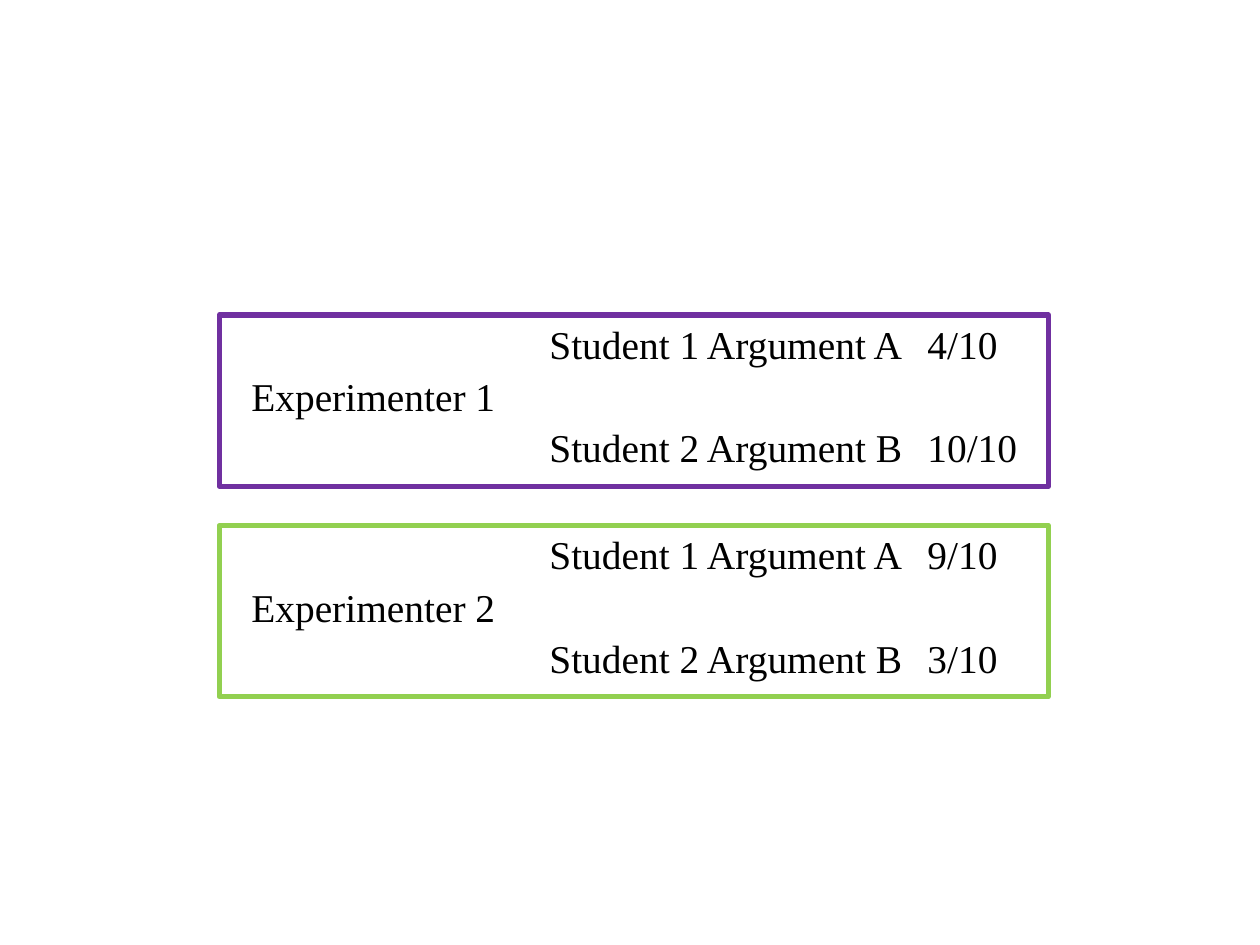
from pptx import Presentation
from pptx.dml.color import RGBColor
from pptx.enum import shapes, text
from pptx.util import Inches, Pt

FONT = "Times New Roman"
PANEL_LEFT, PANEL_WIDTH, PANEL_HEIGHT = Inches(1.74), Inches(6.58), Inches(1.36)
FIRST_TOP, PANEL_PITCH = Inches(2.5), Inches(1.67)
PANELS = [
    ("Experimenter 1", "7030A0", ("4/10", "10/10")),
    ("Experimenter 2", "92D050", ("9/10", "3/10")),
]


def color(hex_value):
    return RGBColor.from_string(hex_value)


def add_text(slide, left, top, width, height, lines, alignment, space_before=10):
    box = slide.shapes.add_textbox(left, top, width, height)
    frame = box.text_frame
    frame.word_wrap = True
    frame.margin_left = frame.margin_right = Inches(0.07)
    frame.margin_top = frame.margin_bottom = Inches(0.04)
    frame.text = "\n".join(lines)
    for index, paragraph in enumerate(frame.paragraphs):
        paragraph.alignment = alignment
        paragraph.line_spacing = 0.9
        paragraph.space_before = Pt(space_before if index else 10)
        for run in paragraph.runs:
            run.font.name = FONT
            run.font.size = Pt(22.5)
            run.font.color.rgb = color("000000")


def add_panel(slide, left, top, width, height, experimenter, outline, scores):
    """Place one experimenter's name and the two scored arguments in a frame."""
    arguments = [
        f"Student {number} Argument {letter}\t{score}"
        for number, letter, score in zip((1, 2), "AB", scores)
    ]
    add_text(slide, left + Inches(2.55), top + Inches(0.04), Inches(3.98),
             Inches(1.3), arguments, text.PP_ALIGN.LEFT, space_before=35)
    add_text(slide, left + Inches(0.06), top + Inches(0.46), Inches(2.33),
             Inches(0.47), [experimenter], text.PP_ALIGN.CENTER)
    frame = slide.shapes.add_shape(
        shapes.MSO_SHAPE.RECTANGLE, left, top, width, height)
    frame.shadow.inherit = False
    frame.fill.background()
    frame.line.color.rgb = color(outline)
    frame.line.width = Pt(3)


def main():
    presentation = Presentation()
    presentation.slide_width = Inches(10)
    presentation.slide_height = Inches(7.5)
    slide = presentation.slides.add_slide(presentation.slide_layouts[6])
    for index, panel in enumerate(PANELS):
        add_panel(slide, PANEL_LEFT, FIRST_TOP + index * PANEL_PITCH,
                  PANEL_WIDTH, PANEL_HEIGHT, *panel)
    presentation.save("out.pptx")


if __name__ == "__main__":
    main()
